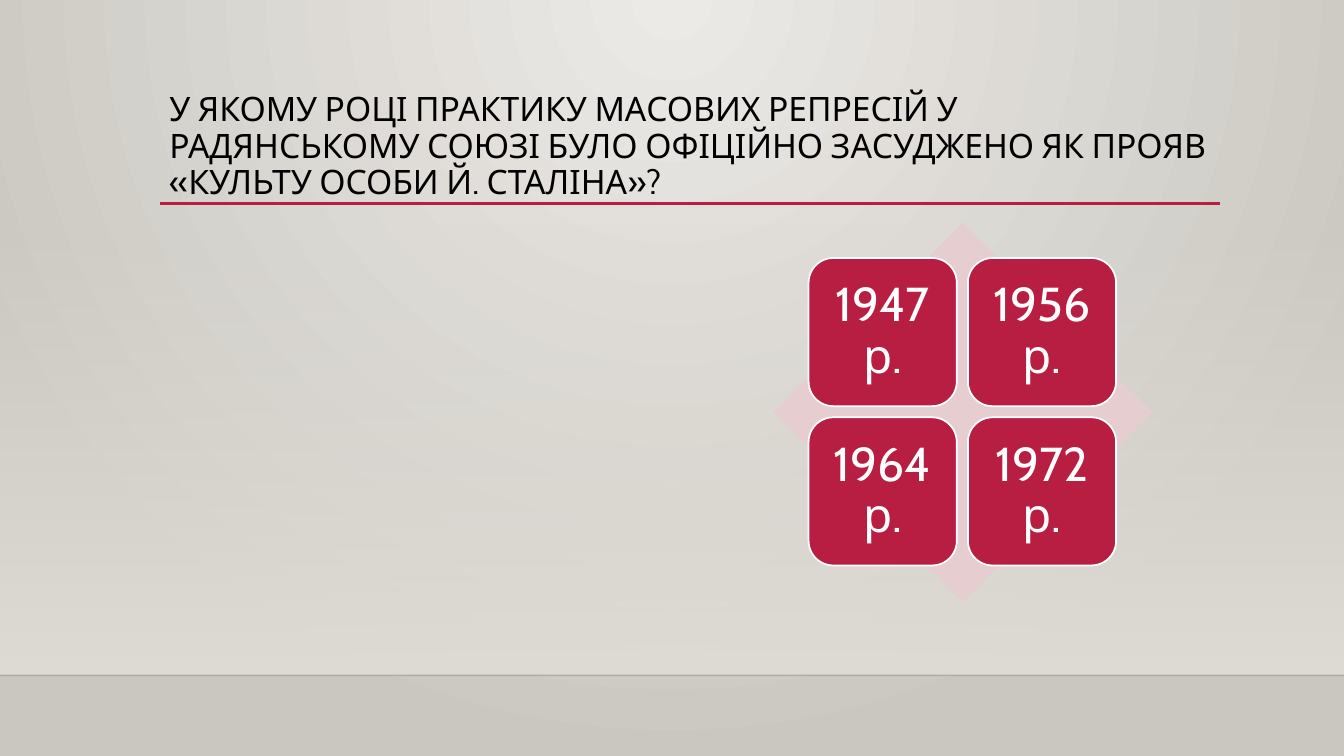
from lxml import etree
from pptx import Presentation
from pptx.dml.color import RGBColor
from pptx.enum.shapes import MSO_CONNECTOR, MSO_SHAPE
from pptx.enum.text import MSO_ANCHOR, PP_ALIGN
from pptx.oxml import parse_xml
from pptx.oxml.ns import nsdecls, qn
from pptx.util import Pt

LINE = MSO_CONNECTOR.STRAIGHT
RECT = MSO_SHAPE.RECTANGLE
ROUND = MSO_SHAPE.ROUNDED_RECTANGLE
DIAMOND = MSO_SHAPE.DIAMOND
MIDDLE = MSO_ANCHOR.MIDDLE
LEFT, CENTER = PP_ALIGN.LEFT, PP_ALIGN.CENTER

PX = 9144
WIDE, HIGH = 1333, 750
FLOOR = 670
FONT = "Cabin"
RED, WHITE, BLACK = "B71E42", "FFFFFF", "000000"
TITLE = (
    "У ЯКОМУ РОЦІ ПРАКТИКУ МАСОВИХ РЕПРЕСІЙ У РАДЯНСЬКОМУ СОЮЗІ "
    "БУЛО ОФІЦІЙНО ЗАСУДЖЕНО ЯК ПРОЯВ «КУЛЬТУ ОСОБИ Й. СТАЛІНА»?"
)
YEARS = ["1947 р.", "1956 р.", "1964 р.", "1972 р."]


def px(*sizes):
    return [size * PX for size in sizes]


def tint(color, code):
    color.rgb = RGBColor.from_string(code)


def grade(root, stops, way):
    marks = "".join(
        f'<a:gs pos="{spot * 1000}"><a:srgbClr val="{code}">'
        f'<a:alpha val="{alpha * 1000}"/></a:srgbClr></a:gs>'
        for spot, code, alpha in stops
    )
    old = root.find(".//" + qn("a:solidFill"))
    old.getparent().replace(old, parse_xml(
        f'<a:gradFill {nsdecls("a")} rotWithShape="1">'
        f"<a:gsLst>{marks}</a:gsLst>{way}</a:gradFill>"
    ))


def write(frame, text, size, code, align, inset):
    frame.word_wrap = True
    frame.vertical_anchor = MIDDLE
    side, top = px(*inset)
    frame.margin_left = frame.margin_right = side
    frame.margin_top = frame.margin_bottom = top
    frame.text = text
    para = frame.paragraphs[0]
    para.alignment = align
    para.line_spacing = 0.9
    para.font.size = Pt(size)
    para.font.name = FONT
    tint(para.font.color, code)


def block(slide, kind, box, code):
    shape = slide.shapes.add_shape(kind, *px(*box))
    shape.shadow.inherit = False
    shape.fill.solid()
    tint(shape.fill.fore_color, code)
    shape.line.fill.background()
    return shape


def rule(slide, left, top, width, code, weight):
    line = slide.shapes.add_connector(LINE, *px(left, top, left + width, top))
    tint(line.line.color, code)
    line.line.width = Pt(weight)
    etree.SubElement(line.element.spPr, qn("a:effectLst"))
    return line


def scene(slide):
    slide.background.fill.solid()
    tint(slide.background.fill.fore_color, WHITE)
    grade(
        slide.element,
        [(0, "ECEAE7", 100), (100, "CAC7C1", 100)],
        '<a:path path="circle">'
        '<a:fillToRect l="43000" t="0" r="43000" b="100000"/></a:path>',
    )
    wall = block(slide, RECT, (0, 221, WIDE, FLOOR - 221), WHITE)
    grade(
        wall.element,
        [(0, "DFDBD5", 0), (100, "DFDBD5", 100)],
        '<a:lin ang="5400000" scaled="0"/>',
    )
    edge = rule(slide, 0, FLOOR, WIDE, "000001", 1)
    tone = edge.element.find(".//" + qn("a:srgbClr"))
    etree.SubElement(tone, qn("a:alpha"), val="20000")


def head(slide, box):
    left, top, width, high = box
    rule(slide, left + 1, top + high - 2, width + 1, RED, 2.5)
    title = slide.shapes.title
    slide.shapes.element.append(title.element)
    title.left, title.top, title.width, title.height = px(*box)
    write(title.text_frame, TITLE, 24, BLACK, LEFT, (10, 5))


def matrix(slide, box):
    left, top, size, _ = box
    block(slide, DIAMOND, box, "E6CDCF")
    tile, step = 147, 158
    pad = (size - tile - step) // 2
    for index, year in enumerate(YEARS):
        row, col = divmod(index, 2)
        spot = (left + pad + col * step, top + pad + row * step, tile, tile)
        card = block(slide, ROUND, spot, RED)
        tint(card.line.color, WHITE)
        card.line.width = Pt(1.25)
        write(card.text_frame, year, 34, WHITE, CENTER, (14, 14))


def main():
    deck = Presentation()
    deck.slide_width, deck.slide_height = px(WIDE, HIGH)
    slide = deck.slides.add_slide(deck.slide_layouts[5])
    scene(slide)
    head(slide, (158, 88, 1050, 116))
    matrix(slide, (767, 221, 376, 376))
    deck.save("out.pptx")


if __name__ == "__main__":
    main()
